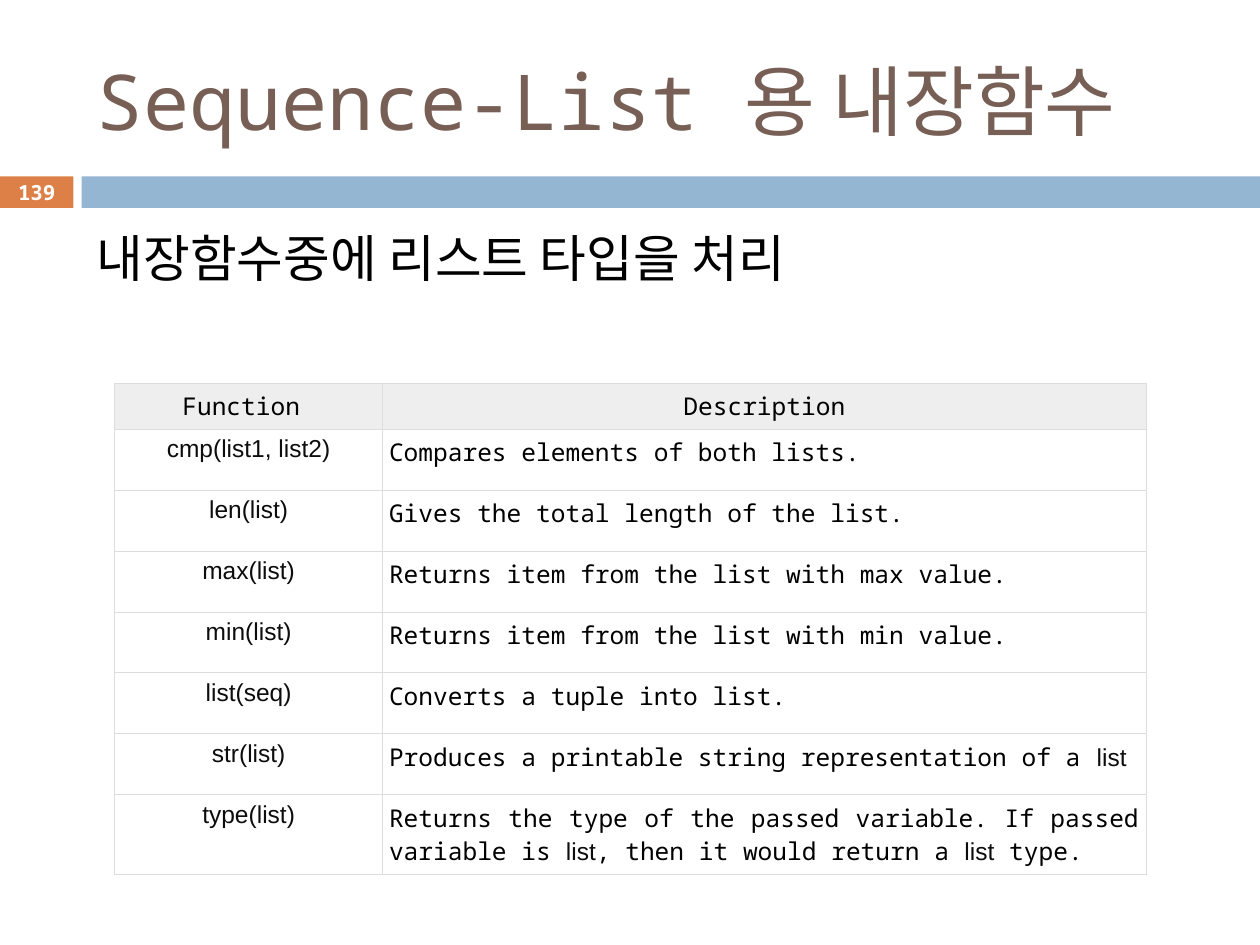
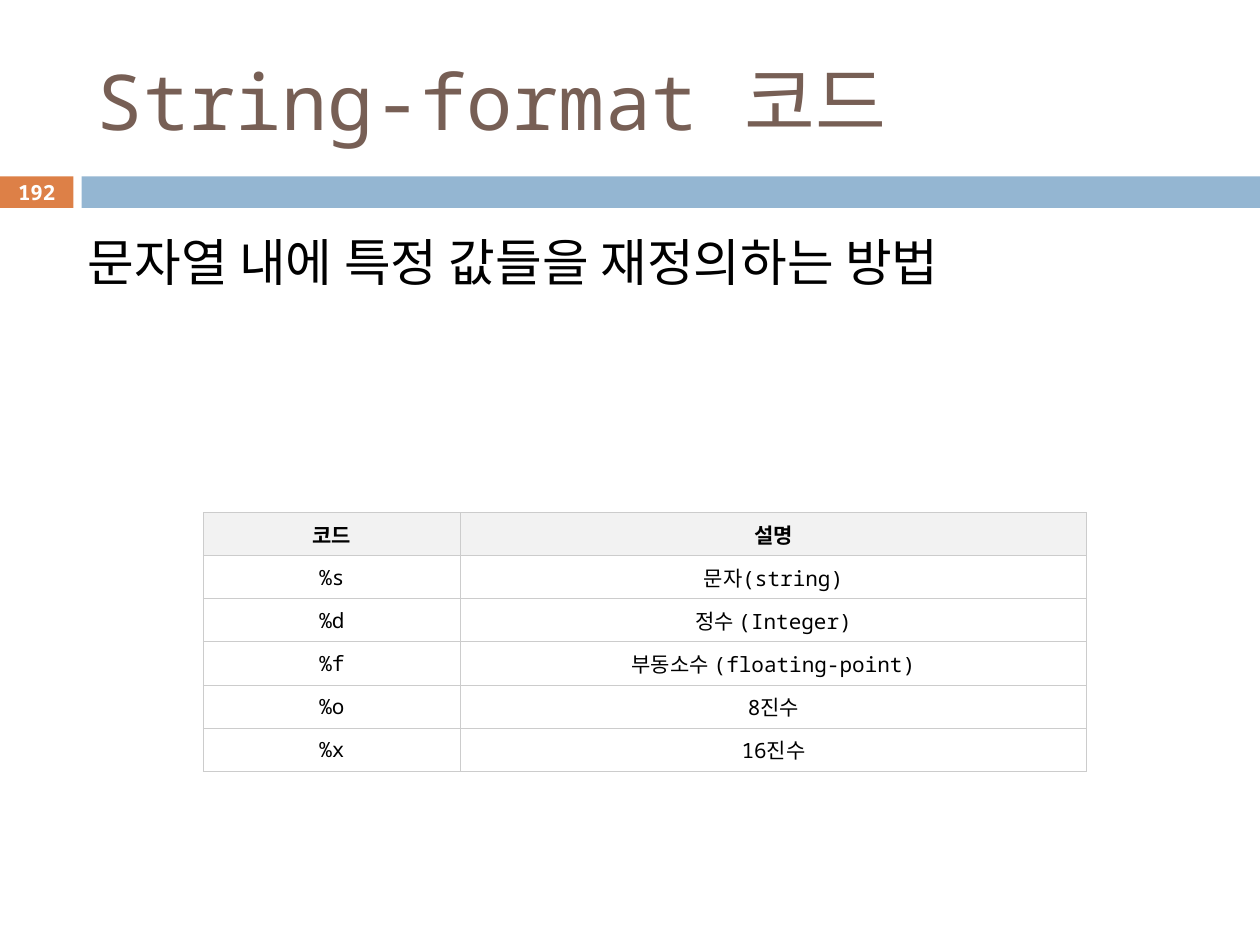
"""Builds two slides on Python built-in list functions and string format codes."""
from pptx import Presentation
from pptx.dml.color import RGBColor
from pptx.enum.shapes import MSO_SHAPE
from pptx.enum.text import MSO_ANCHOR as ANCHOR, MSO_AUTO_SIZE as FIT, PP_ALIGN as AL
from pptx.oxml import parse_xml
from pptx.oxml.ns import nsdecls
from pptx.util import Pt

MONO, SANS = "Noto Sans Mono", "Arial"
BROWN = RGBColor(0x77, 0x5F, 0x55)
ORANGE = RGBColor(0xDD, 0x80, 0x47)
BLUE = RGBColor(0x94, 0xB6, 0xD2)
BLACK = RGBColor(0, 0, 0)
INK = RGBColor(0x0D, 0x0D, 0x0D)
WHITE = RGBColor(0xFF, 0xFF, 0xFF)
HEAD_1 = RGBColor(0xEE, 0xEE, 0xEE)
HEAD_2 = RGBColor(0xF2, 0xF2, 0xF2)
RULE_1 = RGBColor(0xDD, 0xDD, 0xDD)
RULE_2 = RGBColor(0xCC, 0xCC, 0xCC)

# Text between bars is set in SANS.
FUNCTIONS = [
    ("Function ", "Description"),
    ("|cmp(list1, list2)|", "Compares elements of both lists."),
    ("|len(list)|", "Gives the total length of the list."),
    ("|max(list)|", "Returns item from the list with max value."),
    ("|min(list)|", "Returns item from the list with min value."),
    ("|list(seq)|", "Converts a tuple into list."),
    ("|str(list)|", "Produces a printable string representation of a |list|"),
    ("|type(list)|", "Returns the type of the passed variable. If passed variable is "
                     "|list|, then it would return a |list| type."),
]
CODES = [
    ("코드", "설명"),
    ("%s", "문자(string)"),
    ("%d", "정수 (Integer)"),
    ("%f", "부동소수 (floating-point)"),
    ("%o", "8진수"),
    ("%x", "16진수"),
]
SLIDES = [
    dict(number="139", title="Sequence-List 용 내장함수",
         lead="내장함수중에 리스트 타입을 처리", lead_box=(48.2, 126, 642.2, 81.4), indent=0,
         rows=FUNCTIONS, at=(65.5, 218.9), widths=(153.2, 436.4),
         heights=[26.5] + [34.8] * 6 + [45.1], size=14, bold_head=False,
         desc_align=AL.JUSTIFY, anchor=ANCHOR.TOP, side=3.6, head=HEAD_1, rule=RULE_1),
    dict(number="192", title="String-format 코드",
         lead="문자열 내에 특정 값들을 재정의하는 방법", lead_box=(36, 128.2, 648, 124.6), indent=7,
         rows=CODES, at=(116.2, 292.9), widths=(146.9, 357.8),
         heights=[24.57] * 6, size=12, bold_head=True,
         desc_align=AL.CENTER, anchor=ANCHOR.MIDDLE, side=7.9, head=HEAD_2, rule=RULE_2),
]


def style(r, size, color, name=MONO, bold=False):
    r.font.size, r.font.name, r.font.bold = Pt(size), name, bold
    r.font.color.rgb = color


def add_borders(cell, color):
    for side in ("lnL", "lnR", "lnT", "lnB"):
        cell._tc.get_or_add_tcPr().append(parse_xml(
            f'<a:{side} {nsdecls("a")} w="7620"><a:solidFill>'
            f'<a:srgbClr val="{color}"/></a:solidFill></a:{side}>'))


prs = Presentation()
prs.slide_width, prs.slide_height = Pt(720), Pt(540)

for page in SLIDES:
    s = prs.slides.add_slide(prs.slide_layouts[5])

    for left, width, color, text in ((0, 42, ORANGE, page["number"]), (46.6, 673.4, BLUE, "")):
        sp = s.shapes.add_shape(MSO_SHAPE.RECTANGLE, Pt(left), Pt(100.8), Pt(width), Pt(18))
        sp.shadow.inherit = False
        sp.fill.solid()
        sp.fill.fore_color.rgb = color
        sp.line.fill.background()
        if text:
            tf = sp.text_frame
            tf.margin_left = tf.margin_right = tf.margin_top = tf.margin_bottom = 0
            tf.vertical_anchor = ANCHOR.MIDDLE
            tf.text = text
            tf.paragraphs[0].alignment = AL.CENTER
            style(tf.paragraphs[0].runs[0], 11.9, WHITE, bold=True)

    title = s.shapes.title
    title.left, title.top, title.width, title.height = Pt(48.2), Pt(18), Pt(642.2), Pt(77.8)
    lead = s.shapes.add_textbox(*map(Pt, page["lead_box"]))
    lead.text_frame.margin_left = Pt(7.2 + page["indent"])
    for sp, text, size, color, anchor in (
            (title, page["title"], 44, BROWN, ANCHOR.MIDDLE),
            (lead, page["lead"], 29, BLACK, ANCHOR.TOP)):
        tf = sp.text_frame
        tf.word_wrap, tf.auto_size, tf.vertical_anchor = True, FIT.NONE, anchor
        tf.text = text
        tf.paragraphs[0].alignment = AL.LEFT
        style(tf.paragraphs[0].runs[0], size, color)

    rows, widths, heights = page["rows"], page["widths"], page["heights"]
    table = s.shapes.add_table(len(rows), len(widths), *map(Pt, page["at"]),
                               Pt(sum(widths)), Pt(sum(heights))).table
    table.first_row = table.horz_banding = False
    for column, width in zip(table.columns, widths):
        column.width = Pt(width)
    for i, (row, height) in enumerate(zip(rows, heights)):
        table.rows[i].height = Pt(height)
        for j, text in enumerate(row):
            cell = table.cell(i, j)
            cell.margin_left = cell.margin_right = Pt(page["side"])
            cell.margin_top = cell.margin_bottom = Pt(3.6)
            cell.vertical_anchor = page["anchor"]
            add_borders(cell, page["rule"])
            cell.fill.solid()
            cell.fill.fore_color.rgb = WHITE if i else page["head"]
            p = cell.text_frame.paragraphs[0]
            p.alignment = page["desc_align"] if i and j else AL.CENTER
            for k, part in enumerate(text.split("|")):
                if part:
                    r = p.add_run()
                    r.text = part
                    name, color = (SANS, INK) if k % 2 else (MONO, BLACK)
                    style(r, page["size"], color, name, page["bold_head"] and i == 0)

prs.save("out.pptx")
